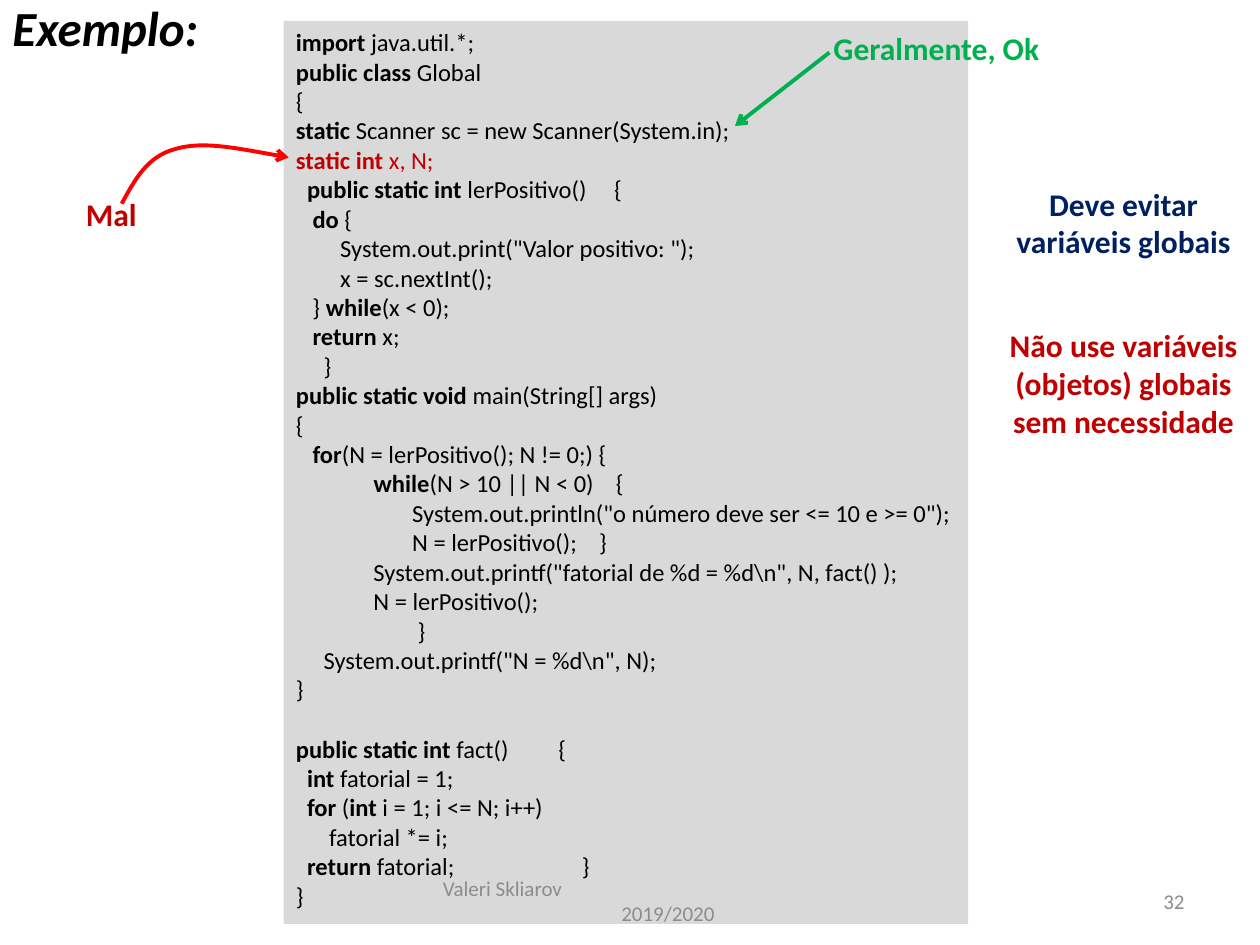
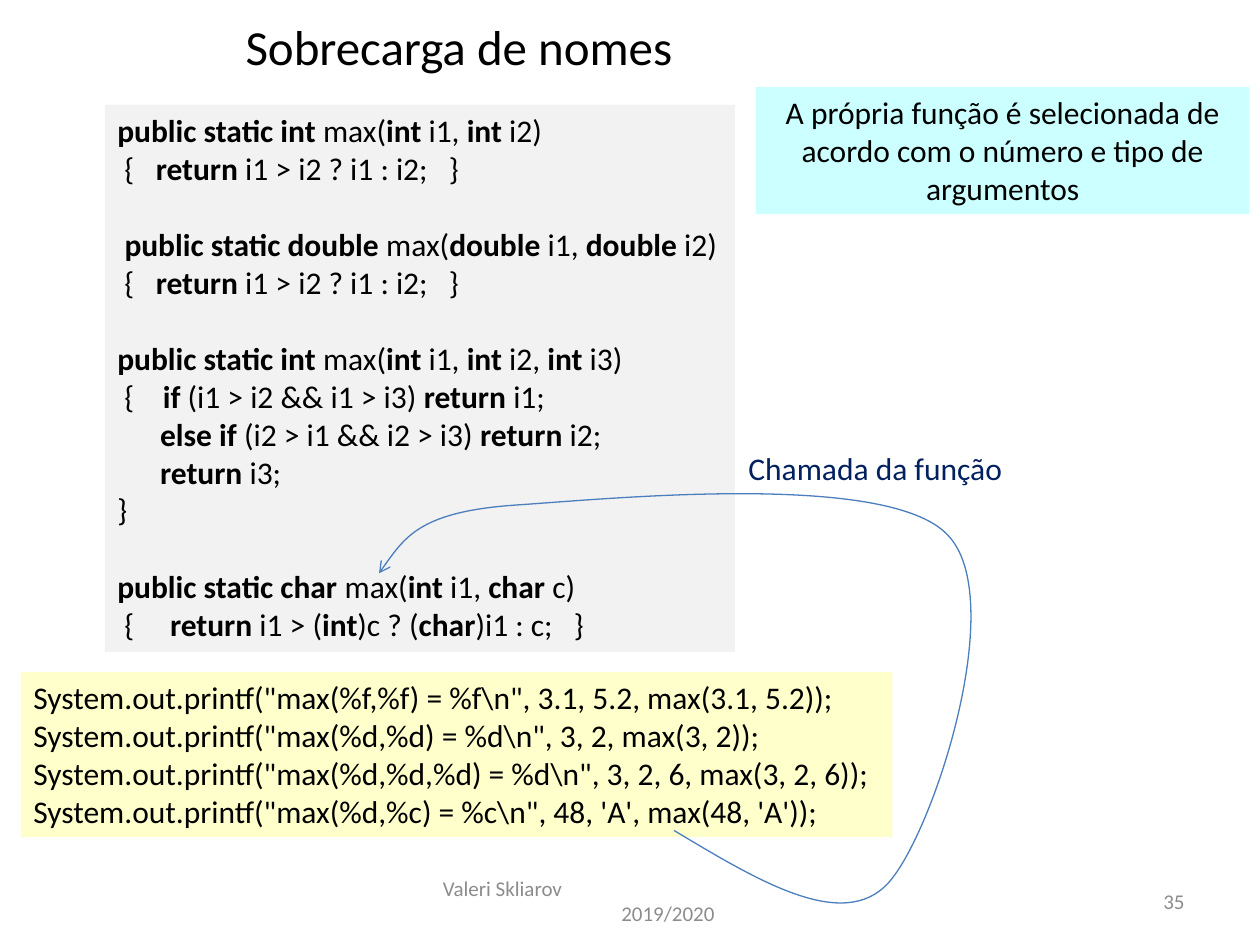
from lxml import etree
from pptx import Presentation, util as u
from pptx.dml.color import RGBColor
from pptx.enum import shapes, text
from pptx.oxml import ns

COLORS = {
    "black": "000000", "footer": "8C8C8C", "navy": "002060",
    "wrong": "C00000", "wrong_arrow": "FF0000", "fine": "00B050",
    "call_arrow": "4B7EBC", "program": "D9D9D9", "overloads": "F2F2F2",
    "calls": "FFFFCC", "note": "CCFFFF",
}
FONT = "Calibri"
CELL = u.Inches(1) / 12
COLUMNS, ROWS = 120, 90
LEFT, CENTER, RIGHT = text.PP_ALIGN.LEFT, text.PP_ALIGN.CENTER, text.PP_ALIGN.RIGHT
TOP, MIDDLE = text.MSO_ANCHOR.TOP, text.MSO_ANCHOR.MIDDLE

READ_METHOD = """`import `java.util.*;
`public class `Global
{
`static` Scanner sc = new Scanner(System.in);
`static int `x, N;
  `public static int `lerPositivo()     {
   `do` {
        System.out.print("Valor positivo: ");
        x = sc.nextInt();
   } `while`(x < 0);
   `return` x;
     }
"""

MAIN_METHOD = r"""`public static void `main(String[] args)
{
   `for`(N = lerPositivo(); N != 0;) {
              `while`(N > 10 || N < 0)    {
                     System.out.println("o número deve ser <= 10 e >= 0");
                     N = lerPositivo();    }
              System.out.printf("fatorial de %d = %d\n", N, fact() );
              N = lerPositivo();
                      }
     System.out.printf("N = %d\n", N);
}

"""

FACT_METHOD = """`public static int `fact()         {
  `int `fatorial = 1;
  `for` (`int `i = 1; i <= N; i++)
      fatorial *= i;
  `return `fatorial;                       }
}"""

MAX_OVERLOADS = """`public static int `max(`int` i1, `int` i2)
 {   `return` i1 > i2 ? i1 : i2;   }

 `public static double `max(`double` i1, `double` i2)
 {   `return` i1 > i2 ? i1 : i2;   }

`public static int `max(`int` i1, `int` i2, `int` i3)
 {   ` if `(i1 > i2 && i1 > i3) `return` i1;
      `else if `(i2 > i1 && i2 > i3) `return` i2;
      `return` i3;
}

`public static char `max(`int` i1, `char` c)
 {     `return` i1 > (`int`)c ? (`char`)i1 : c;   }"""

MAX_CALLS = r"""System.out.printf("max(%f,%f) = %f\n", 3.1, 5.2, max(3.1, 5.2));
System.out.printf("max(%d,%d) = %d\n", 3, 2, max(3, 2));
System.out.printf("max(%d,%d,%d) = %d\n", 3, 2, 6, max(3, 2, 6));
System.out.printf("max(%d,%c) = %c\n", 48, 'A', max(48, 'A'));"""


def write(page, area, content, size=18, color="black", fill=None, align=LEFT,
          wrap=False, anchor=TOP):
    place = [round(value * CELL) for value in area]
    if fill:
        box = page.shapes.add_shape(shapes.MSO_SHAPE.RECTANGLE, *place)
        box.shadow.inherit = False
        box.fill.solid()
        box.fill.fore_color.rgb = RGBColor.from_string(COLORS[fill])
        box.line.fill.background()
    else:
        box = page.shapes.add_textbox(*place)
    frame = box.text_frame
    frame.word_wrap = wrap
    frame.vertical_anchor = anchor
    para, gap = frame.paragraphs[0], 0
    for number, line in enumerate(content.split("\n")):
        if not line:
            gap = size * 1.22
            continue
        if number:
            para = frame.add_paragraph()
        para.alignment = align
        if gap:
            para.space_before, gap = u.Pt(gap), 0
        for part, words in enumerate(line.split("`")):
            if words:
                span = para.add_run()
                span.text = words
                span.font.name = FONT
                span.font.size = u.Pt(size)
                span.font.bold = part % 2 == 1
                span.font.color.rgb = RGBColor.from_string(COLORS[color])
    return box


def draw_arrow(page, points, color, width):
    points = [(round(x * CELL), round(y * CELL)) for x, y in points]
    if len(points) == 2:
        arrow = page.shapes.add_connector(shapes.MSO_CONNECTOR.STRAIGHT, *points[0], *points[1])
        etree.SubElement(arrow._element.spPr, ns.qn("a:effectLst"))
    else:
        builder = page.shapes.build_freeform(*points[0])
        builder.add_line_segments(points[1:], close=False)
        arrow = builder.convert_to_shape()
        arrow.shadow.inherit = False
        arrow.fill.background()
        outline = next(arrow._element.iter(ns.qn("a:path")))
        steps = outline.findall(ns.qn("a:lnTo"))
        for first in range(0, len(steps), 3):
            curve = etree.SubElement(outline, ns.qn("a:cubicBezTo"))
            for step in steps[first:first + 3]:
                curve.append(step[0])
                outline.remove(step)
    arrow.line.color.rgb = RGBColor.from_string(COLORS[color])
    arrow.line.width = u.Pt(width)
    etree.SubElement(arrow.line._get_or_add_ln(), ns.qn("a:tailEnd"), type="arrow")


deck = Presentation()
deck.slide_width, deck.slide_height = round(COLUMNS * CELL), round(ROWS * CELL)
globals_page, overload_page = [deck.slides.add_slide(deck.slide_layouts[6]) for _ in range(2)]

heading = write(globals_page, (0, -0.8, 20.3, 6.9), "`Exemplo:", 28)
heading.text_frame.paragraphs[0].runs[0].font.italic = True
program = write(globals_page, (27, 2, 65.2, 86),
                READ_METHOD + MAIN_METHOD + FACT_METHOD, 14, fill="program")
for span in program.text_frame.paragraphs[4].runs:
    span.font.color.rgb = RGBColor.from_string(COLORS["wrong"])
for top, height, advice, color in [
    (17, 8.5, "`Deve evitar variáveis globais", "navy"),
    (30.5, 12.1, "`Não use variáveis (objetos) globais sem necessidade", "wrong"),
]:
    write(globals_page, (94, top, 26, height), advice, color=color, align=CENTER, wrap=True)
draw_arrow(globals_page, [(11.6, 19.4), (12.8, 17.2), (14, 14.9), (16.7, 14.2),
                          (19.3, 13.4), (23.4, 14.3), (27.5, 15)], "wrong_arrow", 2.25)
write(globals_page, (7, 18, 7.3, 4.8), "`Mal", color="wrong")
draw_arrow(globals_page, [(79, 5), (70, 12)], "fine", 2.25)
write(globals_page, (78.2, 2.2, 24.8, 4.8), "`Geralmente, Ok", color="fine", wrap=True)

write(overload_page, (10, 10, 60, 52.1), MAX_OVERLOADS, fill="overloads")
write(overload_page, (0, 1, 87.4, 7.3), "Sobrecarga de nomes", 28, align=CENTER, wrap=True)
write(overload_page, (2, 64, 83, 15.7), MAX_CALLS, fill="calls")
write(overload_page, (70.1, 42.2, 27.6, 4.8), "Chamada da função", color="navy")
draw_arrow(overload_page, [(64.2, 79.1), (72.2, 83.9), (80.3, 88.8), (84.6, 84.1),
                           (88.9, 79.4), (96.2, 56.9), (90.2, 50.9), (84.4, 44.9),
                           (58.2, 47.5), (49.2, 48.1), (40.2, 48.7), (38.2, 51.6),
                           (36.1, 54.6)], "call_arrow", 0.75)
write(overload_page, (72, 8.3, 47, 12.1),
      "A própria função é selecionada de acordo com o número e tipo de argumentos",
      fill="note", align=CENTER, wrap=True)

for page, number in [(globals_page, "32"), (overload_page, "35")]:
    footer = write(page, (41, 83.4, 38, 4.8), "Valeri Skliarov\n2019/2020", 12, "footer",
                   wrap=True, anchor=MIDDLE)
    year = footer.text_frame.paragraphs[1]
    year._p.get_or_add_pPr().set("marL", str(round(17 * CELL)))
    write(page, (86, 83.4, 28, 4.8), number, 12, "footer", align=RIGHT, wrap=True,
          anchor=MIDDLE)

deck.save("out.pptx")
